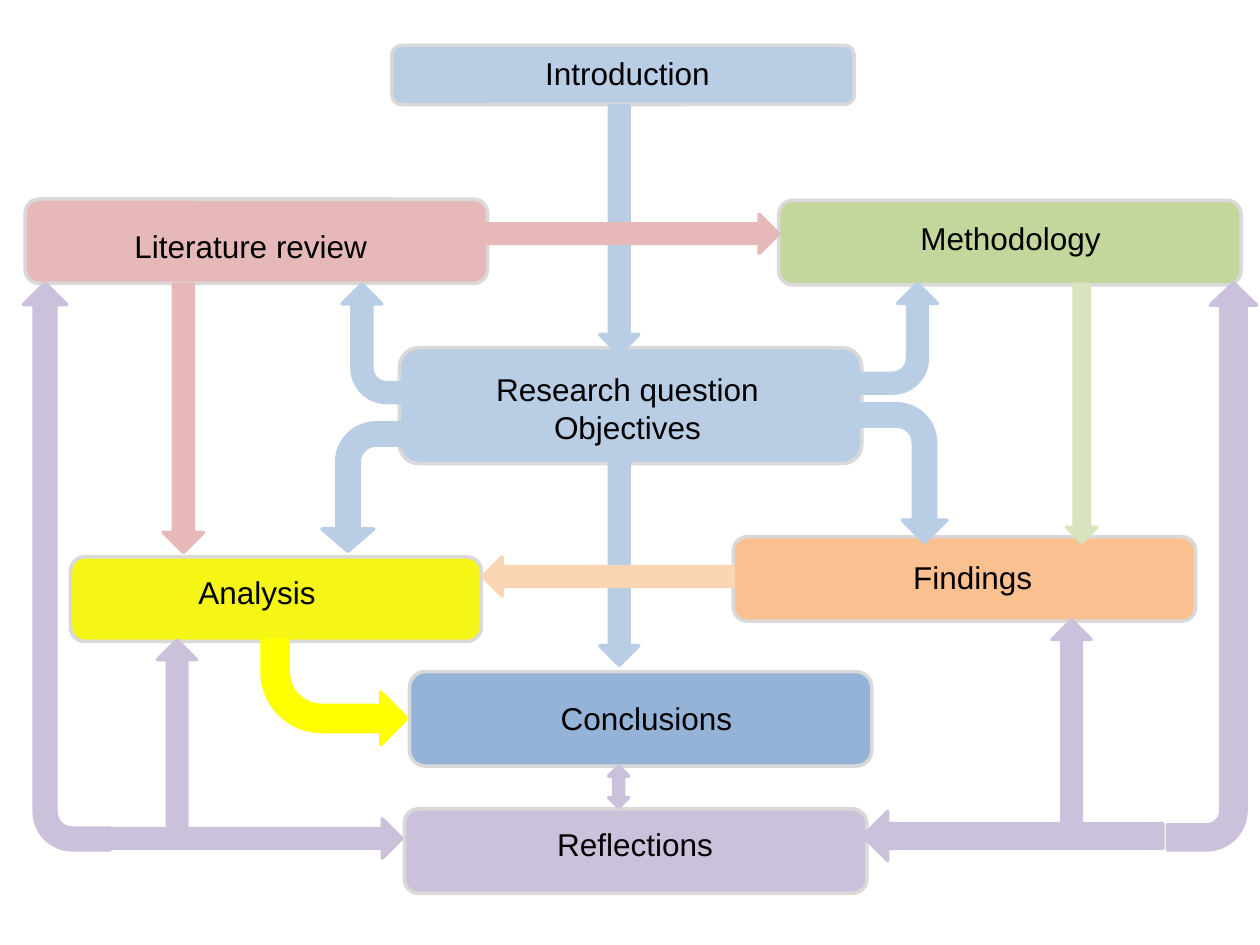
from pptx import Presentation
from pptx import util as u
from pptx.dml.color import RGBColor
from pptx.enum import shapes, text

SCALE = 9144
SHAPE = shapes.MSO_SHAPE
BLUE, ROSE, GREEN, ORANGE = "B9CDE5", "E6B9B8", "C3D69B", "FAC090"
DARK_BLUE, YELLOW, PURPLE = "95B3D7", "F6F616", "CCC1DA"
PALE_GREEN, PALE_ORANGE, BRIGHT_YELLOW = "D7E4BD", "FCD5B5", "FFFF00"
BORDER, INK = "D9D9D9", "000000"


def px(value):
    return u.Emu(value * SCALE)


def color(value):
    return RGBColor.from_string(value)


def apply_format(target, values):
    for name, value in values.items():
        setattr(target, name, value)


class Diagram:
    font = {"name": "Arial", "size": u.Pt(18)}
    frame = {"word_wrap": True, "auto_size": text.MSO_AUTO_SIZE.SHAPE_TO_FIT_TEXT}
    line_width = u.Pt(2)

    def __init__(self, slide):
        self.slide = slide

    def shape(self, kind, place, fill, line):
        shape = self.slide.shapes.add_shape(kind, *map(px, place))
        shape.shadow.inherit = False
        shape.fill.solid()
        shape.fill.fore_color.rgb = color(fill)
        shape.line.color.rgb = color(line)
        shape.line.width = self.line_width
        return shape

    def box(self, place, fill):
        self.shape(SHAPE.ROUNDED_RECTANGLE, place, fill, BORDER)

    def label(self, place, lines):
        label = self.slide.shapes.add_textbox(*map(px, place))
        apply_format(label.text_frame, self.frame)
        label.text_frame.text = "\n".join(lines)
        for paragraph in label.text_frame.paragraphs:
            paragraph.alignment = text.PP_ALIGN.CENTER
            apply_format(paragraph.font, self.font)
            paragraph.font.color.rgb = color(INK)

    def arrow(self, kind, place, fill, rotation=0, flip=None, adjustments=()):
        arrow = self.shape(kind, place, fill, fill)
        arrow.rotation = rotation
        if flip:
            arrow._element.spPr.xfrm.set(flip, "1")
        for index, value in enumerate(adjustments):
            arrow.adjustments[index] = value


TOPICS = [
    ((317, 276, 367, 92), BLUE, (327, 289, 342, 71), ["Research question", "Objectives"]),
    ((20, 158, 367, 67), ROSE, (24, 175, 350, 42), ["Literature review"]),
    ((325, 533, 367, 75), DARK_BLUE, (342, 550, 342, 42), ["Conclusions"]),
    ((618, 159, 367, 67), GREEN, (631, 169, 342, 40), ["Methodology"]),
    ((582, 426, 367, 67), ORANGE, (618, 438, 308, 40), ["Findings"]),
    ((56, 442, 326, 67), YELLOW, (75, 450, 258, 42), ["Analysis"]),
    ((311, 36, 367, 47), BLUE, (327, 38, 342, 40), ["Introduction"]),
    ((321, 642, 367, 67), PURPLE, (333, 650, 342, 42), ["Reflections"]),
]

ARROWS = [
    (SHAPE.BENT_ARROW, (256, 241, 94, 63), BLUE, 270),
    (SHAPE.DOWN_ARROW, (476, 84, 31, 197), BLUE),
    (SHAPE.DOWN_ARROW, (476, 367, 31, 161), BLUE),
    (SHAPE.BENT_ARROW, (661, 340, 110, 71), BLUE, 90),
    (SHAPE.BENT_ARROW, (240, 351, 102, 71), BLUE, 90, "flipV", (0.25, 0.29, 0.25, 0.44)),
    (SHAPE.BENT_ARROW, (669, 237, 87, 63), BLUE, 90, "flipH"),
    (SHAPE.RIGHT_ARROW, (382, 170, 236, 31), ROSE),
    (SHAPE.RIGHT_ARROW, (39, 316, 213, 32), ROSE, 90),
    (SHAPE.RIGHT_ARROW, (756, 316, 205, 24), PALE_GREEN, 90),
    (SHAPE.RIGHT_ARROW, (383, 442, 199, 31), PALE_ORANGE, 180),
    (SHAPE.BENT_ARROW, (208, 508, 115, 83), BRIGHT_YELLOW, 0, "flipV", (0.25, 0.25, 0.25, 0.57)),
    (SHAPE.BENT_ARROW, (737, 414, 450, 71), PURPLE, 90, "flipH", (0.28, 0.26, 0.25, 0.44)),
    (SHAPE.RIGHT_ARROW, (685, 644, 238, 39), PURPLE, 180),
    (SHAPE.DOWN_ARROW, (835, 492, 31, 161), PURPLE, 180),
    (SHAPE.DOWN_ARROW, (125, 508, 31, 161), PURPLE, 180),
    (SHAPE.RIGHT_ARROW, (83, 650, 236, 31), PURPLE),
    (SHAPE.BENT_ARROW, (-172, 415, 450, 69), PURPLE, 270),
    (SHAPE.UP_DOWN_ARROW, (483, 608, 16, 33), PURPLE),
]


def main():
    presentation = Presentation()
    apply_format(presentation, {"slide_width": px(1000), "slide_height": px(750)})
    diagram = Diagram(presentation.slides.add_slide(presentation.slide_layouts[6]))
    for box_place, fill, label_place, lines in TOPICS:
        diagram.box(box_place, fill)
        diagram.label(label_place, lines)
    for arrow in ARROWS:
        diagram.arrow(*arrow)
    presentation.save("out.pptx")


if __name__ == "__main__":
    main()
